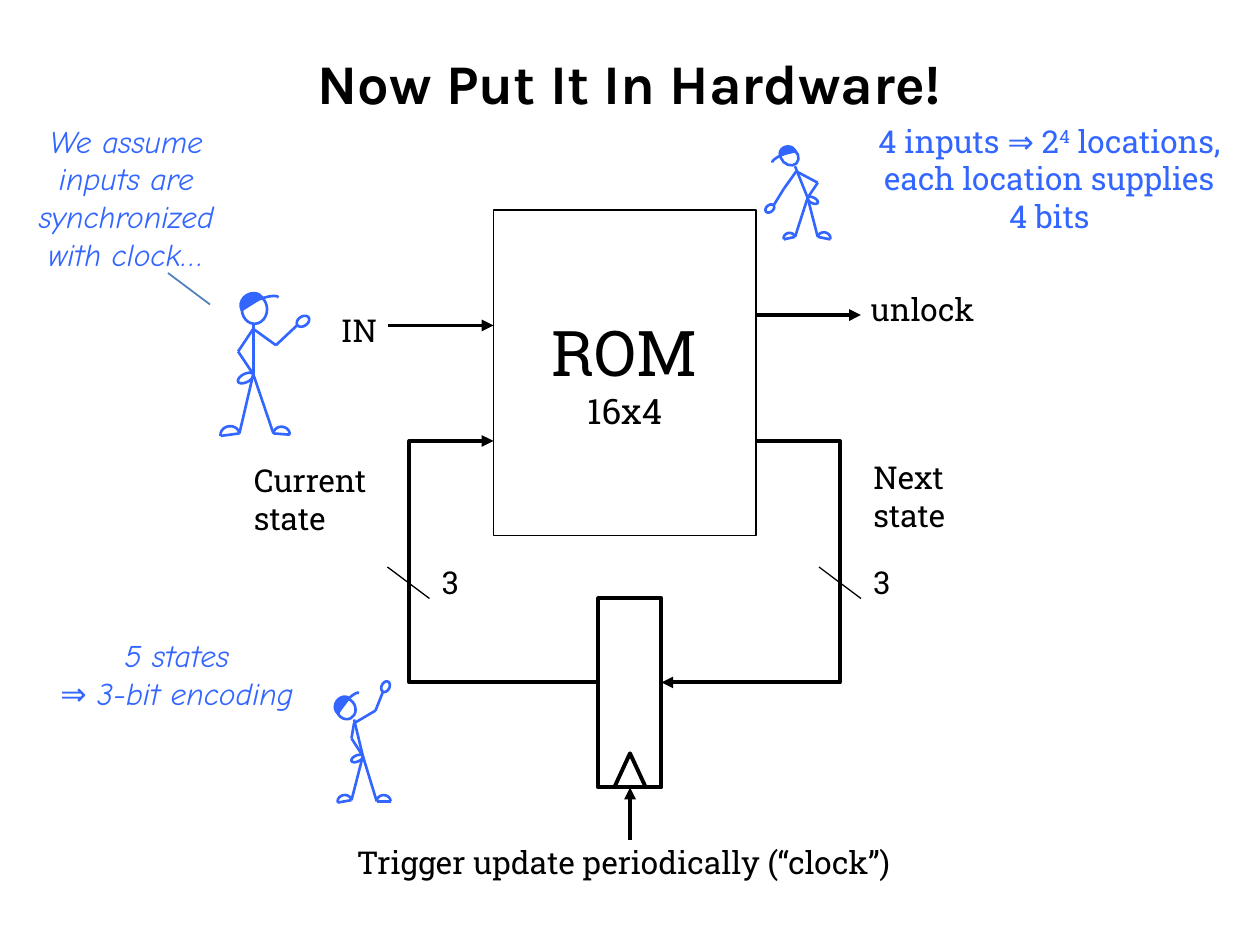
from dataclasses import dataclass
from itertools import pairwise
from math import cos, pi, sin
from lxml.etree import SubElement
from pptx import Presentation
from pptx.dml.color import RGBColor
from pptx.enum.shapes import MSO_CONNECTOR, MSO_SHAPE
from pptx.enum.text import MSO_ANCHOR, MSO_AUTO_SIZE, PP_ALIGN
from pptx.oxml.ns import qn
from pptx.util import Inches, Pt


@dataclass(frozen=True)
class Theme:
    ink: RGBColor = RGBColor(0, 0, 0)
    blue: RGBColor = RGBColor(0x33, 0x66, 0xFF)
    pointer: RGBColor = RGBColor(0x4F, 0x81, 0xBD)
    title_font: str = "Karla"
    body_font: str = "Roboto Slab"
    hand_font: str = "Comic Neue"
    title: int = 32
    rom: int = 36
    rom_size: int = 20
    body: int = 18
    wire: float = 2.25
    sketch: float = 1.5
    hair: float = 0.75


theme = Theme()
deck = Presentation()
deck.slide_width, deck.slide_height = Inches(10), Inches(7.5)
slide = deck.slides.add_slide(deck.slide_layouts[5])
shapes = slide.shapes
CELL = deck.slide_width // 120  # diagram grid: 120 columns, 90 rows
DOT = deck.slide_width // 1000  # sketch grid: 1000 columns, 750 rows


def stroke(shape, color, width, arrow=None):
    shape.line.color.rgb = color
    shape.line.width = Pt(width)
    properties = shape._element.spPr
    if arrow:
        SubElement(properties.find(qn("a:ln")), qn(f"a:{arrow}End"), type="triangle")
    SubElement(properties, qn("a:effectLst"))


def outline(points, unit, color, width, arrow=None, filled=False):
    start, *rest = [(round(x * unit), round(y * unit)) for x, y in points]
    builder = shapes.build_freeform(*start)
    builder.add_line_segments(rest, close=filled)
    shape = builder.convert_to_shape()
    if filled:
        shape.fill.solid()
        shape.fill.fore_color.rgb = color
    else:
        shape.fill.background()
    stroke(shape, color, width, arrow)


# Title
title = shapes.title
title.left, title.top, title.width, title.height = [round(n * CELL) for n in (6, 3.6, 108, 8.4)]
title.text_frame.text = "Now Put It In Hardware!"
title.text_frame.vertical_anchor = MSO_ANCHOR.MIDDLE
heading = title.text_frame.paragraphs[0]
heading.alignment = PP_ALIGN.CENTER
heading.font.name, heading.font.size, heading.font.bold = theme.title_font, Pt(theme.title), True
heading.font.color.rgb = theme.ink

# State register and ROM
for box, width in (((57, 57, 6, 18), theme.wire), ((47, 20, 25, 31), theme.hair)):
    block = shapes.add_shape(MSO_SHAPE.RECTANGLE, *[n * CELL for n in box])
    block.fill.background()
    stroke(block, theme.ink, width)
rom = block.text_frame
rom.text = "ROM\n16x4"
rom.word_wrap = False
rom.vertical_anchor = MSO_ANCHOR.MIDDLE
for line, size in zip(rom.paragraphs, (theme.rom, theme.rom_size)):
    line.alignment = PP_ALIGN.CENTER
    line.font.name, line.font.size = theme.body_font, Pt(size)
    line.font.color.rgb = theme.ink

# State buses and the register's clock notch
for points, arrow in (
    ([(72, 42), (80, 42), (80, 65), (63, 65)], "tail"),
    ([(47, 42), (39, 42), (39, 65), (57, 65)], "head"),
    ([(58.5, 75), (60, 71.75), (61.5, 75)], None),
):
    outline(points, CELL, theme.ink, theme.wire, arrow)

# Signals, bus-width slashes and speech pointer
for ends, color, width, arrow in (
    ((37, 31, 47, 31), theme.ink, theme.wire, "tail"),
    ((72, 30, 82, 30), theme.ink, theme.wire, "tail"),
    ((60, 80, 60, 75), theme.ink, theme.wire, "tail"),
    ((78, 54, 82, 57), theme.ink, theme.hair, None),
    ((36.9, 54, 40.9, 57), theme.ink, theme.hair, None),
    ((16, 26, 20, 29), theme.pointer, 1, None),
):
    signal = shapes.add_connector(MSO_CONNECTOR.STRAIGHT, *[round(n * CELL) for n in ends])
    stroke(signal, color, width, arrow)

# Labels and notes; \v breaks a line within a paragraph
LEFT, CENTER, RIGHT = PP_ALIGN.LEFT, PP_ALIGN.CENTER, PP_ALIGN.RIGHT
plain = (theme.body_font, theme.ink, False)
spoken = (theme.hand_font, theme.blue, True)
for text, box, align, (font, color, italic) in (
    ("unlock", (81.75, 27, 13.2, 4.8), LEFT, plain),
    ("Next\vstate", (82, 43, 9.6, 8.5), LEFT, plain),
    ("Current\vstate", (23, 43.3, 14.4, 8.5), LEFT, plain),
    ("IN", (31.2, 29, 5.9, 4.8), RIGHT, plain),
    ("Trigger update periodically (“clock”)", (32, 79.7, 54.8, 4.8), CENTER, plain),
    ("3", (81.8, 53, 4.4, 4.8), CENTER, plain),
    ("3", (40.7, 53, 4.4, 4.8), CENTER, plain),
    ("We assume\ninputs are\nsynchronized\nwith clock…", (1, 11, 22.1, 15.7), CENTER, spoken),
    ("5 states\n⇒ 3-bit encoding", (3, 60, 27.7, 8.5), CENTER, spoken),
    ("4 inputs ⇒ 2^4^ locations,\veach location supplies\n4 bits", (79.9, 11, 40.1, 12.1),
     CENTER, (theme.body_font, theme.blue, False)),
):
    frame = shapes.add_textbox(*[round(n * CELL) for n in box]).text_frame
    frame.word_wrap = "^" in text
    frame.auto_size = MSO_AUTO_SIZE.SHAPE_TO_FIT_TEXT
    frame.text = text
    for line in frame.paragraphs:
        line.alignment = align
        line.font.name, line.font.size, line.font.italic = font, Pt(theme.body), italic
        line.font.color.rgb = color
        # The part between carets is an exponent
        if "^" in line.text:
            base, exponent, rest = line.text.split("^")
            first, second = rest.split("\v")
            line.clear()
            line.add_run().text = base
            power = line.add_run()
            power.text = exponent
            power._r.get_or_add_rPr().set("baseline", "30000")
            line.add_run().text = first
            line.add_line_break()
            line.add_run().text = second

# Stick figures, given by their joints
figures = (
    dict(head=(192, 234, 20, 23), turn=0, cap=((192, 246), (208, 236)), brim=((192, 247), (221, 236)),
         neck=(201, 257), shoulder=(201, 261), hip=(201, 297), elbows=((219, 274), (189, 279)),
         wrist=(236, 258), fingers=(245, 252), thumb=(189, 303),
         feet=((175, 346), (190, 344), (217, 344), (230, 345))),
    dict(head=(267, 554, 15, 17), turn=333.6, cap=((268, 566), (277, 554)), brim=((269, 567), (285, 550)),
         neck=(281, 571), shoulder=(281, 574), hip=(288, 600), elbows=((298, 564), (279, 586)),
         wrist=(304, 549), fingers=(308, 541), thumb=(279, 604),
         feet=((268, 637), (279, 635), (299, 636), (310, 636))),
    dict(head=(620, 116, 13, 16), turn=314.9, cap=((619, 123), (631, 120)), brim=((613, 129), (632, 121)),
         neck=(631, 132), shoulder=(632, 136), hip=(641, 157), elbows=((622, 150), (649, 145)),
         wrist=(614, 163), fingers=(608, 168), thumb=(649, 161),
         feet=((622, 190), (631, 188), (649, 188), (659, 190))),
)
STEPS = 10
for joint in figures:
    shoulder, hip, wrist = joint["shoulder"], joint["hip"], joint["wrist"]
    reach, bend = joint["elbows"]
    left_toe, left_heel, right_heel, right_toe = joint["feet"]
    for limb in (
        (joint["neck"], hip),
        (hip, left_heel, left_toe),
        (hip, right_heel, right_toe),
        (shoulder, reach, wrist),
        (shoulder, bend, hip),
    ):
        for start, end in pairwise(limb):
            bone = shapes.add_connector(MSO_CONNECTOR.STRAIGHT, *[n * DOT for n in start + end])
            stroke(bone, theme.blue, theme.sketch)
    head = shapes.add_shape(MSO_SHAPE.OVAL, *[n * DOT for n in joint["head"]])
    head.rotation = joint["turn"]
    head.fill.background()
    stroke(head, theme.blue, theme.sketch)
    # Each curve is an elliptic arc over a chord: bulge as share of the chord, half turns
    for (x1, y1), (x2, y2), bulge, half_turns in (
        (left_toe, left_heel, 0.45, 1),
        (right_heel, right_toe, 0.45, 1),
        (wrist, joint["fingers"], 0.35, 2),
        (hip, joint["thumb"], 0.25, 2),
        (*joint["brim"], 0.13, 1),
        (*joint["cap"], 0.42, 1),
    ):
        arc = []
        for step in range(STEPS * half_turns + 1):
            angle = pi * step / STEPS
            along, across = (1 - cos(angle)) / 2, bulge * sin(angle)
            arc.append((x1 + (x2 - x1) * along + (y2 - y1) * across,
                        y1 + (y2 - y1) * along - (x2 - x1) * across))
        outline(arc, DOT, theme.blue, theme.sketch, filled=bulge == 0.42)

deck.save("out.pptx")
